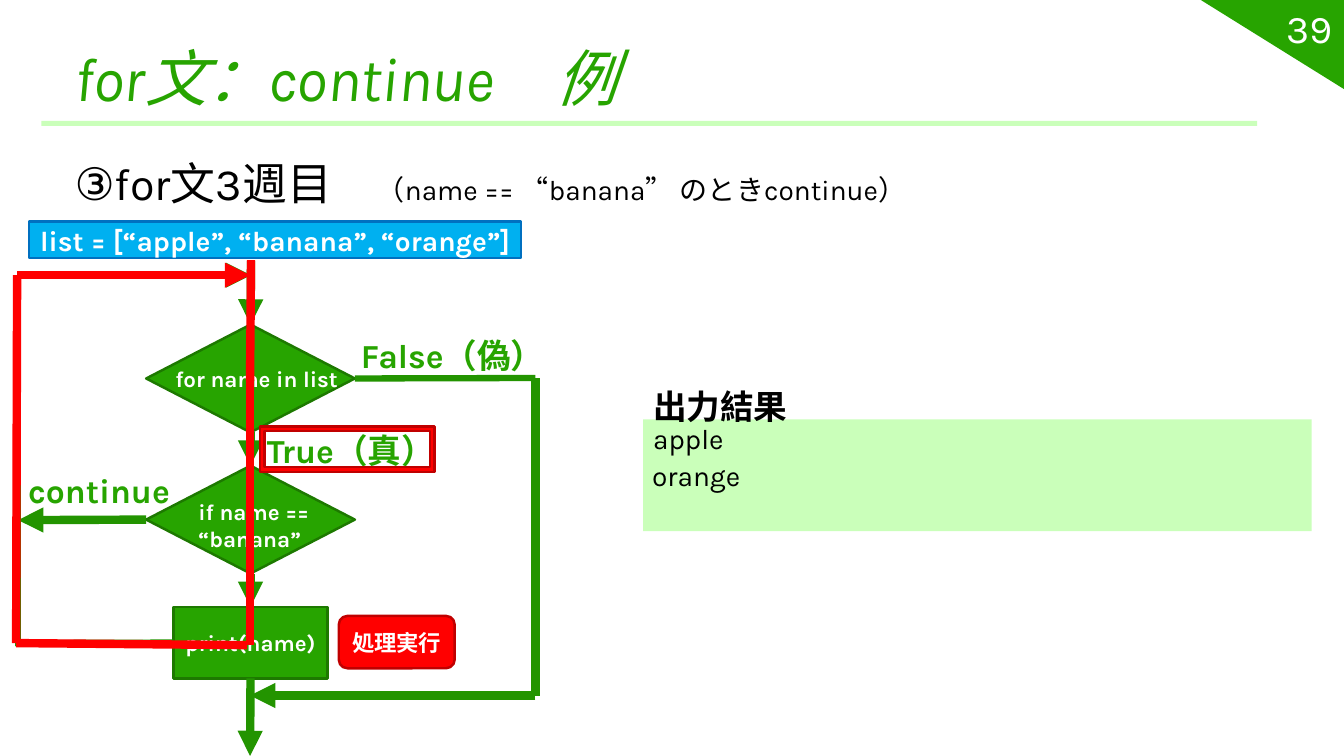
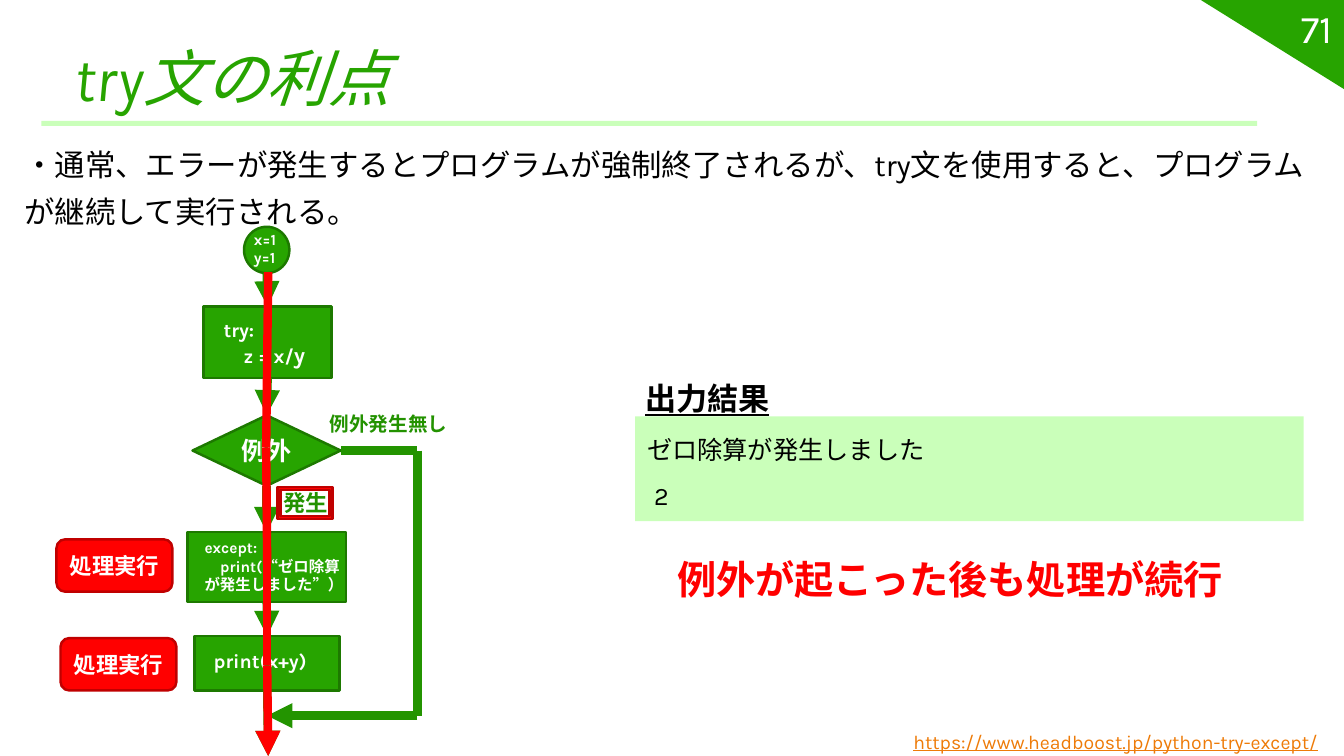
import pptx
import pptx.util
import pptx.dml.color
import pptx.enum.shapes
import pptx.enum.text
import pptx.oxml.ns
from lxml import etree

Inches, Pt = pptx.util.Inches, pptx.util.Pt
SHAPE = pptx.enum.shapes.MSO_SHAPE
ANCHOR = pptx.enum.text.MSO_ANCHOR
ALIGN = pptx.enum.text.PP_ALIGN
AUTO_SIZE = pptx.enum.text.MSO_AUTO_SIZE
qn = pptx.oxml.ns.qn

FONT = "Karla"
GREEN, DARK_GREEN, PALE_GREEN = "27A400", "1D7900", "CAFFBA"
ARROW_GREEN, LABEL_GREEN = "239400", "239200"
RED, DARK_RED = "FF0000", "C00000"
BLUE, DARK_BLUE = "00B0F0", "0070C0"
WHITE, BLACK, ORANGE = "FFFFFF", "000000", "EE7B08"
TOP, LEFT, BOTTOM, RIGHT = range(4)


def rgb(color):
    return pptx.dml.color.RGBColor.from_string(color)


def style(r, size, color, bold=False, italic=False, underline=False):
    r.font.name = FONT
    r.font.size = Pt(size)
    r.font.color.rgb = rgb(color)
    r.font.bold = bold
    r.font.italic = italic
    r.font.underline = underline


def write(tf, text, size, color, align=ALIGN.LEFT, **fmt):
    tf.text = text
    for p in tf.paragraphs:
        p.alignment = align
        for r in p.runs:
            style(r, size, color, **fmt)


def append_run(p, text, size, color, **fmt):
    r = p.add_run()
    r.text = text
    style(r, size, color, **fmt)


def place(sp, at):
    sp.left, sp.top, sp.width, sp.height = map(Inches, at)


def add_box(s, kind, at, fill, outline=None, text="", size=16):
    """Add a preset shape, with bold white centred text if any is given."""
    sp = s.shapes.add_shape(kind, *map(Inches, at))
    sp.shadow.inherit = False
    sp.fill.solid()
    sp.fill.fore_color.rgb = rgb(fill)
    if outline:
        sp.line.color.rgb = rgb(outline)
        sp.line.width = Pt(1.75)
    else:
        sp.line.fill.background()
    if text:
        sp.text_frame.vertical_anchor = ANCHOR.MIDDLE
        write(sp.text_frame, text, size, WHITE, ALIGN.CENTER, bold=True)
    return sp


def add_node(s, kind, at, text="", size=16):
    return add_box(s, kind, at, GREEN, DARK_GREEN, text, size)


def add_label(s, at, text, size, color, align=ALIGN.LEFT, **fmt):
    tf = s.shapes.add_textbox(*map(Inches, at)).text_frame
    tf.word_wrap = True
    write(tf, text, size, color, align, **fmt)
    return tf


def add_badge(s, left, top):
    add_box(s, SHAPE.ROUNDED_RECTANGLE, (left, top, 1.15, 0.52),
            RED, DARK_RED, "処理実行")


def add_highlight(s, at):
    frame = add_box(s, SHAPE.FRAME, at, RED, DARK_RED)
    frame.adjustments[0] = 0.1


def add_line(s, start, end, color=ARROW_GREEN, width=6, arrow=False):
    """Draw a line; each end is an (x, y) point or a (shape, side) pair."""
    start_joined, end_joined = (hasattr(e[0], "shape_id") for e in (start, end))
    begin = (0, 0) if start_joined else start
    finish = (0, 0) if end_joined else end
    c = s.shapes.add_connector(pptx.enum.shapes.MSO_CONNECTOR.STRAIGHT,
                               *map(Inches, begin + finish))
    if start_joined:
        c.begin_connect(*start)
    if end_joined:
        c.end_connect(*end)
    c.line.color.rgb = rgb(color)
    c.line.width = Pt(width)
    spPr = c.element.spPr
    if arrow:
        etree.SubElement(spPr.find(qn("a:ln")), qn("a:tailEnd"), type="triangle")
    etree.SubElement(spPr, qn("a:effectLst"))


def add_route(s, points, color=ARROW_GREEN, arrow=True):
    """Draw joined-up segments, with an arrowhead on the last one."""
    last = len(points) - 2
    for i, (start, end) in enumerate(zip(points, points[1:])):
        add_line(s, start, end, color, arrow=arrow and i == last)


def add_output(s, left, top, height, heading_at, size, underline=False):
    add_box(s, SHAPE.RECTANGLE, (left, top, 6.63, height), PALE_GREEN)
    tf = add_label(s, heading_at, "出力結果", size, BLACK,
                   bold=True, underline=underline)
    tf.paragraphs[0].line_spacing = 1.5


def decorate_layout(layout, s):
    """Draw the corner and title rule, and move them to the layout."""
    corner = add_box(s, SHAPE.RIGHT_TRIANGLE, (11.91, 0, 1.43, 0.89), GREEN)
    corner.rotation = 180
    rule = add_box(s, SHAPE.RECTANGLE, (0.41, 1.2, 12.06, 0.05), PALE_GREEN)
    for sp in (corner, rule):
        layout.shapes.element.append(sp.element)


def fill_frame(s, title, number):
    place(s.shapes.title, (0.64, 0.29, 12.06, 0.89))
    tf = s.shapes.title.text_frame
    tf.auto_size = AUTO_SIZE.NONE
    tf.vertical_anchor = ANCHOR.BOTTOM
    write(tf, title, 44, GREEN, italic=True)
    tf = add_label(s, (11.43, 0.08, 1.88, 0.4), number, 28, WHITE, ALIGN.RIGHT)
    tf.vertical_anchor = ANCHOR.MIDDLE


def fill_body(s, at, text, size, spacing):
    body = s.placeholders[1]
    place(body, at)
    tf = body.text_frame
    tf.auto_size = AUTO_SIZE.NONE
    tf.text = text
    p = tf.paragraphs[0]
    pPr = p._p.get_or_add_pPr()
    pPr.set("marL", "0")
    pPr.set("indent", "0")
    etree.SubElement(pPr, qn("a:buNone"))
    p.line_spacing = spacing
    p.space_before = Pt(0)
    style(p.runs[0], size, BLACK)
    return p


def build_continue_slide(s):
    fill_frame(s, "for文：continue\u3000例".replace("\u3000", "　"), "39")
    p = fill_body(s, (0.64, 1.23, 12.57, 0.95), "③for文3週目　", 32, 1.5)
    append_run(p, "（name == “banana” のときcontinue）", 20, BLACK)

    add_box(s, SHAPE.RECTANGLE, (0.29, 2.2, 4.88, 0.36), BLUE, DARK_BLUE,
            "list = [“apple”, “banana”, “orange”]", 20)
    loop, check = (add_node(s, SHAPE.FLOWCHART_DECISION, (1.45, top, 2.07, 1.07))
                   for top in (3.22, 4.62))
    output = add_node(s, SHAPE.FLOWCHART_PROCESS, (1.72, 6.02, 1.53, 0.71),
                      "print(name)")

    for start, end in (((2.49, 2.59), (loop, TOP)),
                       ((loop, BOTTOM), (check, TOP)),
                       ((check, BOTTOM), (output, TOP)),
                       ((output, BOTTOM), (2.48, 7.5)),
                       ((check, LEFT), (0.18, 5.16))):
        add_line(s, start, end, arrow=True)
    add_line(s, (loop, RIGHT), (5.31, 3.75), width=4.5)
    add_route(s, [(5.31, 3.75), (5.31, 6.9), (2.48, 6.9)])
    add_line(s, (output, LEFT), (0.15, 6.38), width=4.5)
    add_route(s, [(0.17, 6.38), (0.17, 2.73), (2.49, 2.73)])

    for at, text in (((3.48, 3.27, 2.2, 0.5), "False（偽）"),
                     ((0.18, 4.61, 1.97, 0.5), "continue"),
                     ((2.55, 4.22, 2.2, 0.5), "True（真）")):
        add_label(s, at, text, 24, GREEN, bold=True)
    for at, text in (((1.64, 3.57, 1.88, 0.37), "for name in list"),
                     ((1.87, 4.89, 1.53, 0.64), "if name == “banana”")):
        add_label(s, at, text, 16, WHITE, bold=True)

    add_route(s, [(2.45, 6.4), (0.16, 6.38), (0.17, 2.73), (2.48, 2.73)], RED)
    add_highlight(s, (2.58, 4.23, 1.73, 0.45))
    add_badge(s, 3.36, 6.11)
    add_route(s, [(2.49, 2.58), (2.48, 3.78), (2.48, 6.4)], RED, arrow=False)

    add_output(s, 6.38, 4.16, 1.11, (6.38, 3.58, 4.43, 0.81), 24)
    add_label(s, (6.38, 4.13, 1.42, 0.44), "apple", 20, BLACK)
    add_label(s, (6.37, 4.5, 1.42, 0.44), "orange", 20, BLACK)


def build_try_slide(s):
    fill_frame(s, "try文の利点", "71")
    fill_body(s, (0.14, 1.29, 13.19, 1.03),
              "・通常、エラーが発生するとプログラムが強制終了されるが、"
              "try文を使用すると、プログラムが継続して実行される。", 21.7, 1.3)
    tf = add_label(s, (8.96, 7.21, 4.38, 0.29),
                   "https://www.headboost.jp/python-try-except/",
                   13.9, ORANGE, underline=True)
    tf.vertical_anchor = ANCHOR.MIDDLE

    start = add_node(s, SHAPE.OVAL, (2.42, 2.25, 0.45, 0.46))
    attempt = add_node(s, SHAPE.RECTANGLE, (2.02, 3.04, 1.27, 0.71))
    error = add_node(s, SHAPE.FLOWCHART_DECISION, (1.91, 4.12, 1.47, 0.7),
                     "例外", 18)
    handler = add_node(s, SHAPE.RECTANGLE, (1.86, 5.28, 1.57, 0.69))
    after = add_node(s, SHAPE.RECTANGLE, (1.93, 6.31, 1.44, 0.54))

    steps = [start, attempt, error, handler, after]
    for upper, lower in zip(steps, steps[1:]):
        add_line(s, (upper, BOTTOM), (lower, TOP), arrow=True)
    add_line(s, (after, BOTTOM), (2.66, 7.5), arrow=True)
    add_route(s, [(error, RIGHT), (4.14, 4.47), (4.14, 7.1), (2.65, 7.1)])

    add_label(s, (2.42, 2.23, 0.77, 0.47), "x=1\ny=1", 11, WHITE, bold=True)
    tf = add_label(s, (2.12, 3.1, 1.19, 0.61), "try:\n    z = x/", 14, WHITE,
                   bold=True)
    append_run(tf.paragraphs[1], "y", 16, WHITE, bold=True)
    add_label(s, (1.93, 5.29, 1.59, 0.66),
              "except:\n    print(“ゼロ除算が発生しました”）", 11, WHITE, bold=True)
    add_label(s, (2.02, 6.39, 1.29, 0.34), "print(x+y)", 14, WHITE, bold=True)
    add_label(s, (2.71, 4.8, 0.66, 0.37), "発生", 16, LABEL_GREEN, bold=True)
    add_label(s, (3.17, 4.04, 1.47, 0.34), "例外発生無し", 14, LABEL_GREEN,
              bold=True)

    add_route(s, [(2.66, 2.7), (2.64, 4.44), (2.65, 5.59), (2.65, 6.6),
                  (2.66, 7.5)], RED)
    add_highlight(s, (2.75, 4.83, 0.55, 0.32))
    add_badge(s, 0.56, 5.35)
    add_badge(s, 0.6, 6.33)

    add_output(s, 6.3, 4.13, 1.04, (6.3, 3.53, 6.72, 0.61), 22.2, underline=True)
    add_label(s, (6.32, 4.26, 3.35, 0.4), "ゼロ除算が発生しました", 18, BLACK)
    add_label(s, (6.39, 4.72, 3.35, 0.4), "2", 18, BLACK)
    add_label(s, (6.62, 5.46, 5.77, 0.57), "例外が起こった後も処理が続行", 28, RED,
              bold=True)


def main():
    prs = pptx.Presentation()
    prs.slide_width, prs.slide_height = Inches(13.33), Inches(7.5)
    layout = prs.slide_layouts[1]
    slides = [prs.slides.add_slide(layout) for _ in range(2)]
    decorate_layout(layout, slides[0])
    build_continue_slide(slides[0])
    build_try_slide(slides[1])
    prs.save("out.pptx")


if __name__ == "__main__":
    main()
